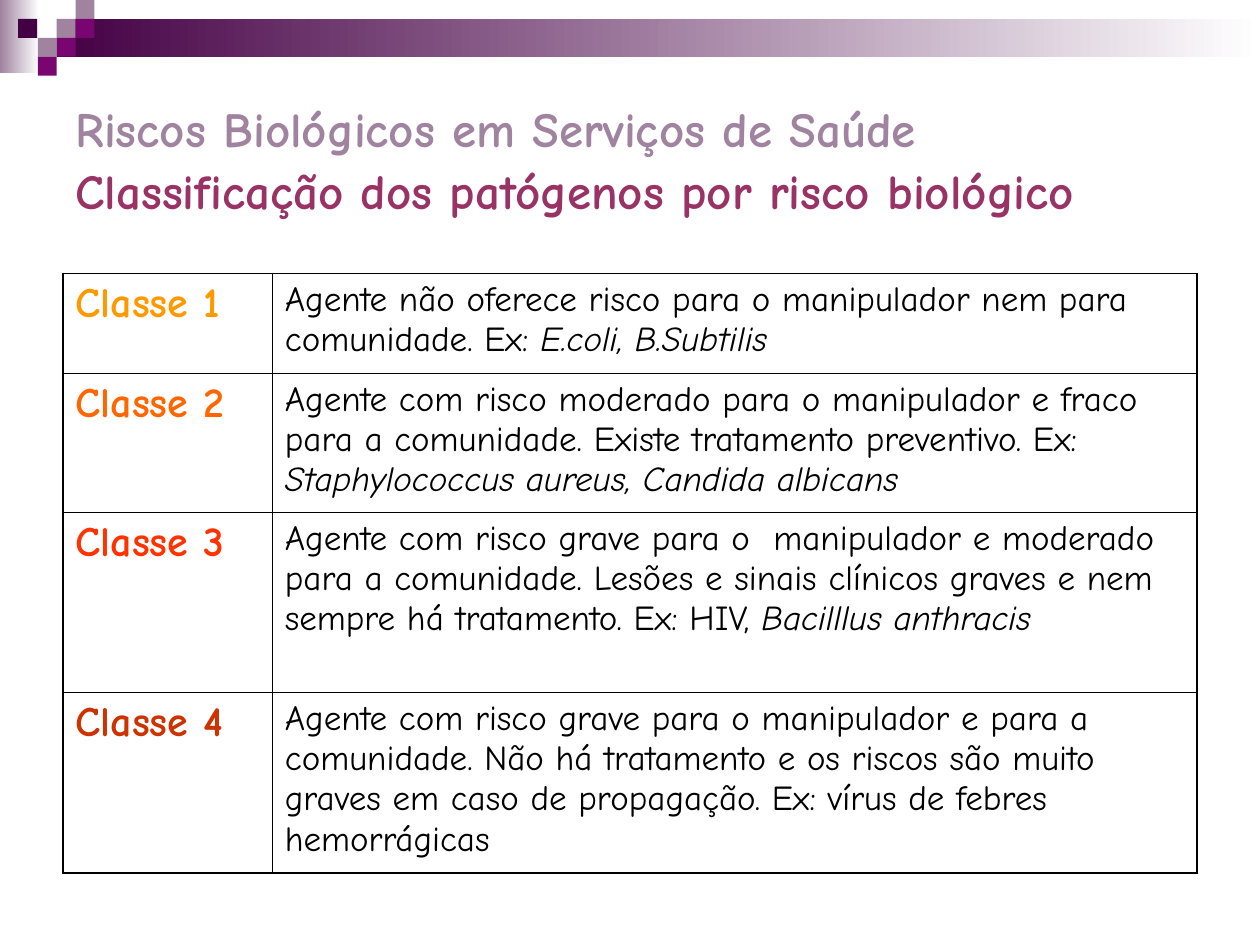
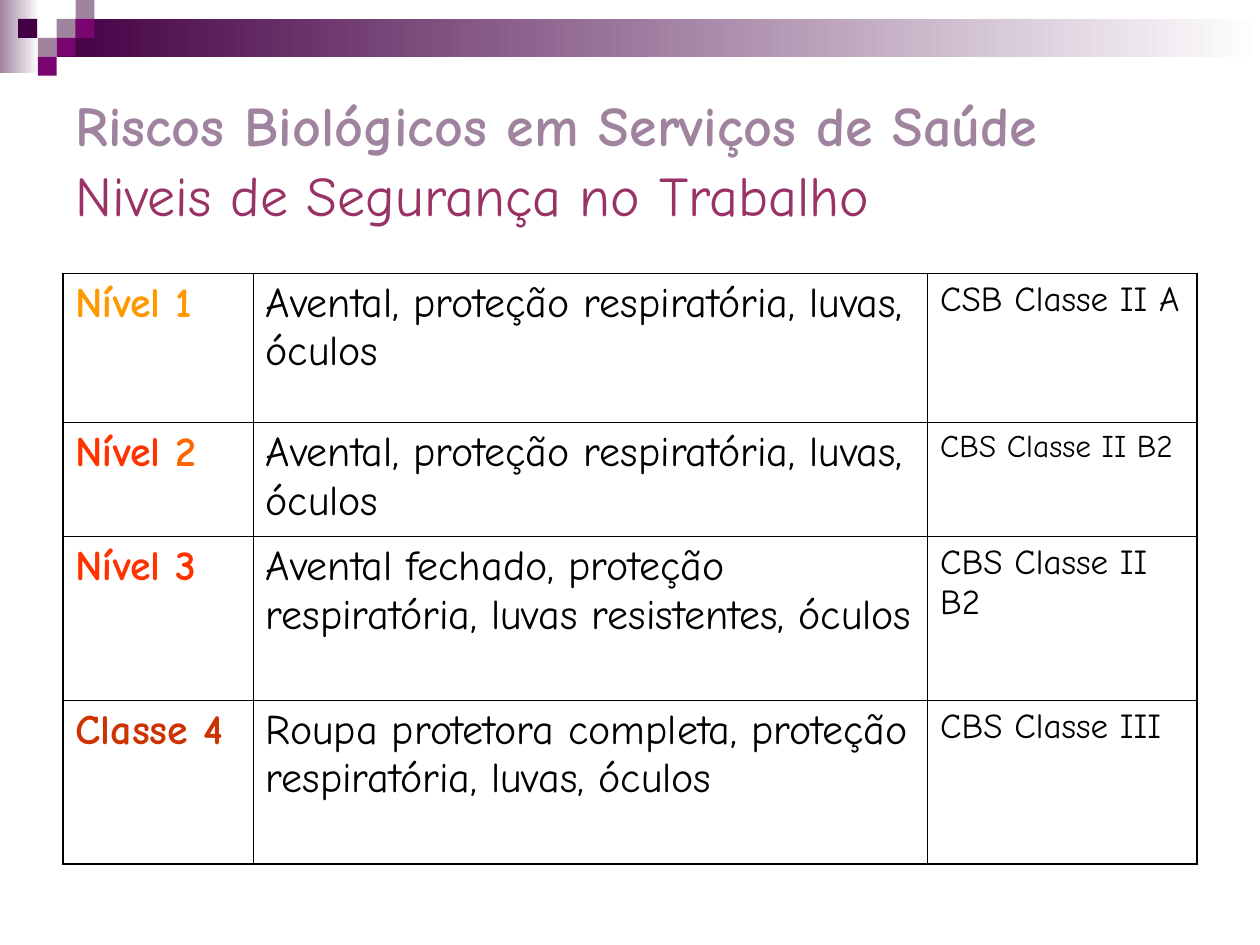
from copy import deepcopy

from lxml.etree import SubElement
from pptx import Presentation
from pptx.dml.color import RGBColor
from pptx.enum.shapes import MSO_SHAPE
from pptx.enum.text import MSO_ANCHOR, MSO_AUTO_SIZE, PP_ALIGN
from pptx.oxml.ns import qn
from pptx.util import Pt

FONT = "Comic Neue"
BLACK, WHITE = "000000", "FFFFFF"
MAUVE, PLUM, PURPLE, WINE = "9F839F", "440044", "790571", "993366"
AMBER, ORANGE, RED, BRICK = "FF9900", "FF6600", "FF3300", "CC3300"

TITLE = "Riscos Biológicos em Serviços de Saúde"
TABLE_LEFT, TABLE_TOP = 36, 156.24
OUTER_LINE, INNER_LINE = 1.08, 0.45

TILE = 10.8
TILES = [
    (32.4, 10.8, MAUVE), (43.2, 0, MAUVE), (43.2, 10.8, PURPLE),
    (21.6, 21.6, MAUVE), (10.4, 10.8, PLUM), (32.4, 21.6, PURPLE),
    (21.6, 32.4, PURPLE),
]


def rgb(hex_colour):
    return RGBColor.from_string(hex_colour)


def format_run(run, size, colour=BLACK, bold=False, italic=False):
    font = run.font
    font.name, font.size = FONT, Pt(size)
    font.bold, font.italic = bold, italic
    font.color.rgb = rgb(colour)


def add_rectangle(group, left, top, width, height, colour, fade=False):
    """Add a borderless rectangle, plain or fading to white on the right."""
    shape = group.shapes.add_shape(
        MSO_SHAPE.RECTANGLE, Pt(left), Pt(top), Pt(width), Pt(height))
    shape.shadow.inherit = False
    shape.line.fill.background()
    if fade:
        shape.fill.gradient()
        shape.fill.gradient_angle = 0
        stops = shape.fill.gradient_stops
        for stop, position, stop_colour in zip(stops, (0, 1), (colour, WHITE)):
            stop.position = position
            stop.color.rgb = rgb(stop_colour)
    else:
        shape.fill.solid()
        shape.fill.fore_color.rgb = rgb(colour)


def add_header_band(slide):
    group = slide.shapes.add_group_shape()
    add_rectangle(group, 0, 0, 22.3, 41.8, MAUVE, fade=True)
    add_rectangle(group, 32.4, 10.8, 687.6, 21.6, PLUM, fade=True)
    for left, top, colour in TILES:
        add_rectangle(group, left, top, TILE, TILE, colour)


def set_title(slide, subtitle, size, subtitle_bold):
    title = slide.shapes.title
    title.left, title.top, title.width, title.height = (
        Pt(36), Pt(36), Pt(648), Pt(108))
    text_frame = title.text_frame
    text_frame.word_wrap = True
    text_frame.auto_size = MSO_AUTO_SIZE.NONE
    text_frame.vertical_anchor = MSO_ANCHOR.MIDDLE
    paragraph = text_frame.paragraphs[0]
    paragraph.text = f"{TITLE}\v{subtitle}"
    paragraph.alignment = PP_ALIGN.LEFT
    paragraph.line_spacing = 1.05
    first, second = paragraph.runs
    format_run(first, size, MAUVE, bold=True)
    format_run(second, size, WINE, bold=subtitle_bold)
    # The line break needs the run's size too, or it stretches the line.
    line_break = paragraph._p.find(qn("a:br"))
    line_break.append(deepcopy(first._r.find(qn("a:rPr"))))


def set_borders(cell, outer_sides):
    properties = cell._tc.get_or_add_tcPr()
    for side in "LRTB":
        width = OUTER_LINE if side in outer_sides else INNER_LINE
        line = SubElement(properties, qn(f"a:ln{side}"), w=str(Pt(width)))
        fill = SubElement(line, qn("a:solidFill"))
        SubElement(fill, qn("a:srgbClr"), val=BLACK)


def fill_cell(cell, runs):
    """Write runs given as (text, size, colour, bold, italic)."""
    paragraph = cell.text_frame.paragraphs[0]
    for text, *style in runs:
        run = paragraph.add_run()
        run.text = text
        format_run(run, *style)


def add_grid(slide, column_widths, row_heights, rows):
    frame = slide.shapes.add_table(
        len(rows), len(column_widths), Pt(TABLE_LEFT), Pt(TABLE_TOP),
        Pt(sum(column_widths)), Pt(sum(row_heights)))
    table = frame.table
    table.first_row = table.horz_banding = False
    for column, width in zip(table.columns, column_widths):
        column.width = Pt(width)
    for row, height in zip(table.rows, row_heights):
        row.height = Pt(height)
    last_row, last_column = len(rows) - 1, len(column_widths) - 1
    for row_index, row in enumerate(rows):
        for column_index, runs in enumerate(row):
            cell = table.cell(row_index, column_index)
            edges = {"L": column_index == 0, "R": column_index == last_column,
                     "T": row_index == 0, "B": row_index == last_row}
            set_borders(cell, [side for side, outer in edges.items() if outer])
            cell.fill.background()
            fill_cell(cell, runs)


def label(text, colour):
    return (text, 24, colour, True)


def agent_row(name, colour, description, species=""):
    runs = [(description, 20)]
    if species:
        runs.append((species, 20, BLACK, False, True))
    return [[label(name, colour)], runs]


def level_row(labels, equipment, cabinet, cabinet_size=20):
    return [labels, [(equipment, 24)], [(cabinet, cabinet_size)]]


def add_slide(presentation, subtitle, title_size, subtitle_bold):
    slide = presentation.slides.add_slide(presentation.slide_layouts[5])
    add_header_band(slide)
    set_title(slide, subtitle, title_size, subtitle_bold)
    return slide


def add_pathogen_slide(presentation):
    slide = add_slide(presentation, "Classificação dos patógenos por risco biológico",
                      28, True)
    add_grid(slide, [119.6, 528.4], [57.1, 79.4, 102.9, 103.4], [
        agent_row("Classe 1", AMBER,
                  "Agente não oferece risco para o manipulador nem para "
                  "comunidade. Ex: ", "E.coli, B.Subtilis"),
        agent_row("Classe 2", ORANGE,
                  "Agente com risco moderado para o manipulador e fraco para a "
                  "comunidade. Existe tratamento preventivo. Ex: ",
                  "Staphylococcus aureus, Candida albicans"),
        agent_row("Classe 3", RED,
                  "Agente com risco grave para o  manipulador e moderado para a "
                  "comunidade. Lesões e sinais clínicos graves e nem sempre há "
                  "tratamento. Ex: HIV, ", "Bacilllus anthracis"),
        agent_row("Classe 4", BRICK,
                  "Agente com risco grave para o manipulador e para a "
                  "comunidade. Não há tratamento e os riscos são muito graves "
                  "em caso de propagação. Ex: vírus de febres hemorrágicas"),
    ])


def add_safety_slide(presentation):
    slide = add_slide(presentation, "Niveis de Segurança no Trabalho", 32, False)
    basic_equipment = "Avental, proteção respiratória, luvas, óculos"
    add_grid(slide, [108.6, 385.4, 154], [85.4, 65, 93.6, 93.6], [
        level_row([label("Nível 1", AMBER)], basic_equipment, "CSB Classe II A"),
        level_row([label("Nível", RED), label(" 2", ORANGE)],
                  basic_equipment, "CBS Classe II B2", 18),
        level_row([label("Nível 3", RED)],
                  "Avental fechado, proteção respiratória, luvas resistentes, "
                  "óculos", "CBS Classe II B2"),
        level_row([label("Classe 4", BRICK)],
                  "Roupa protetora completa, proteção respiratória, luvas, "
                  "óculos", "CBS Classe III"),
    ])


def main():
    presentation = Presentation()
    presentation.slide_width, presentation.slide_height = Pt(720), Pt(540)
    add_pathogen_slide(presentation)
    add_safety_slide(presentation)
    presentation.save("out.pptx")


if __name__ == "__main__":
    main()
